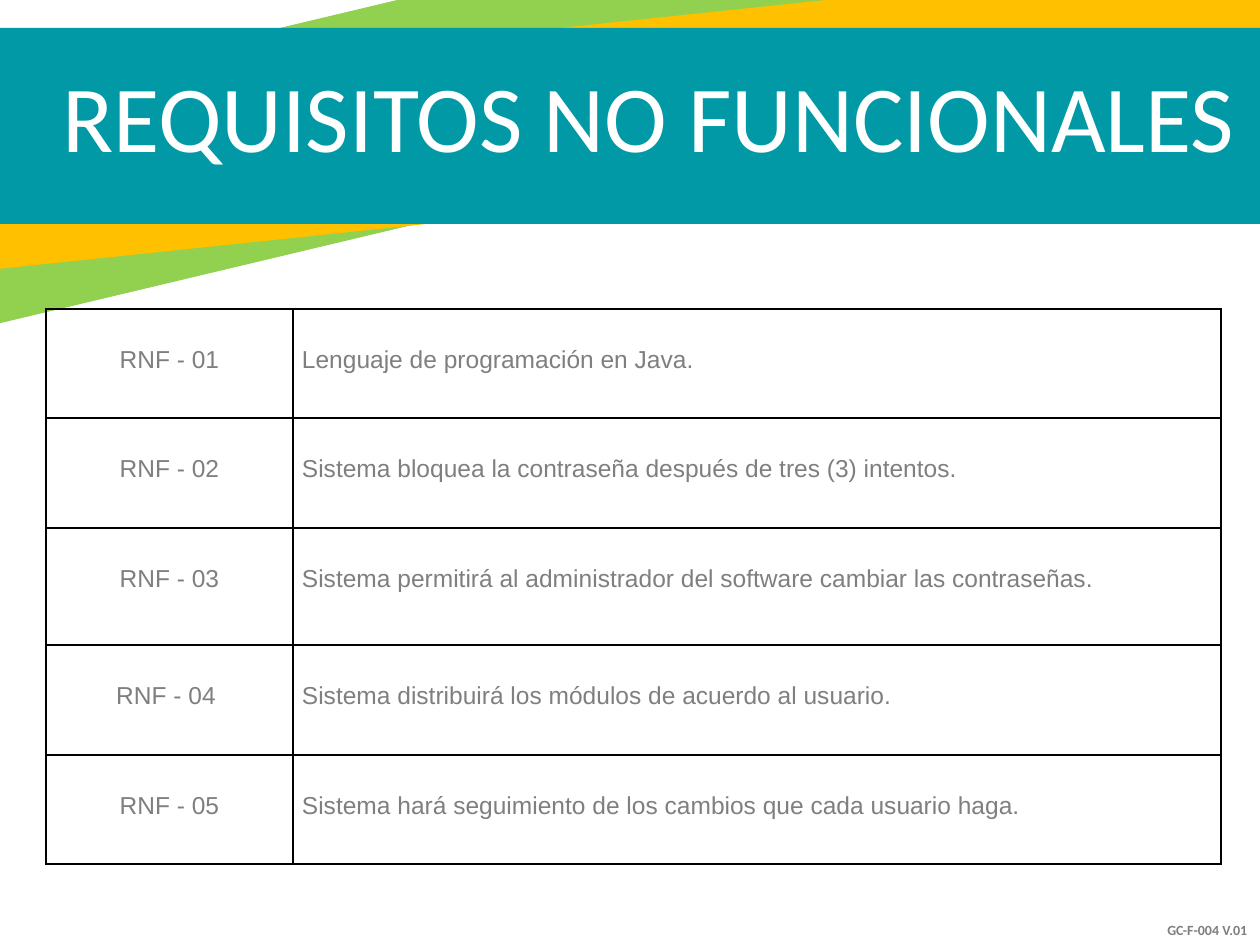
from lxml import etree
from pptx import Presentation
from pptx.dml.color import RGBColor
from pptx.enum.shapes import MSO_SHAPE
from pptx.enum.text import MSO_ANCHOR, PP_ALIGN
from pptx.oxml.ns import qn
from pptx.util import Emu, Pt

PX = 914400 // 126
GREEN = RGBColor(0x92, 0xD0, 0x50)
AMBER = RGBColor(0xFF, 0xC0, 0x00)
TEAL = RGBColor(0x00, 0x99, 0xA5)
GRAY = RGBColor(0x7F, 0x7F, 0x7F)
WHITE = RGBColor(0xFF, 0xFF, 0xFF)
BORDER = "000000"

BANDS = [
    ((-316, -23, 1646, 222), 346.6, GREEN),
    ((-142, -43, 1469, 222), 346.6, GREEN),
    ((-139, 25, 1465, 181), 354, AMBER),
    ((-134, 28, 1465, 196), 0, TEAL),
]
REQUIREMENTS = [
    ("RNF - 01", "Lenguaje de programación en Java."),
    ("RNF - 02", "Sistema bloquea la contraseña después de tres (3) intentos."),
    ("RNF - 03", "Sistema permitirá al administrador del software cambiar las contraseñas."),
    ("RNF - 04 ", "Sistema distribuirá los módulos de acuerdo al usuario."),
    ("RNF - 05", "Sistema hará seguimiento de los cambios que cada usuario haga."),
]
COLUMN_WIDTHS = [247, 928]
ROW_HEIGHTS = [109, 110, 117, 110, 109]
CELL_MARGIN = 9
CELL_TOP = 37


def px(n):
    return Emu(n * PX)


def write(tf, text, size=14, font="Arial", color=GRAY, bold=False, align=PP_ALIGN.LEFT):
    p = tf.paragraphs[0]
    p.alignment = align
    r = p.add_run()
    r.text = text
    r.font.size = Pt(size)
    r.font.name = font
    r.font.color.rgb = color
    r.font.bold = bold


def add_band(s, box, rotation, color):
    sp = s.shapes.add_shape(MSO_SHAPE.RECTANGLE, *map(px, box))
    sp.rotation = rotation
    sp.shadow.inherit = False
    sp.fill.solid()
    sp.fill.fore_color.rgb = color
    sp.line.fill.background()


def add_label(s, box, text, anchor, **style):
    tf = s.shapes.add_textbox(*map(px, box)).text_frame
    tf.word_wrap = True
    tf.vertical_anchor = anchor
    write(tf, text, **style)


def add_borders(cell):
    tc_pr = cell._tc.get_or_add_tcPr()
    for i, side in enumerate(("lnL", "lnR", "lnT", "lnB")):
        ln = etree.Element(qn(f"a:{side}"), w=str(Pt(1)))
        fill = etree.SubElement(ln, qn("a:solidFill"))
        etree.SubElement(fill, qn("a:srgbClr"), val=BORDER)
        tc_pr.insert(i, ln)


def add_requirements(s, left, top):
    size = px(sum(COLUMN_WIDTHS)), px(sum(ROW_HEIGHTS))
    table = s.shapes.add_table(
        len(ROW_HEIGHTS), len(COLUMN_WIDTHS), px(left), px(top), *size
    ).table
    table.first_row = table.horz_banding = False
    for column, width in zip(table.columns, COLUMN_WIDTHS):
        column.width = px(width)
    for row, height, texts in zip(table.rows, ROW_HEIGHTS, REQUIREMENTS):
        row.height = px(height)
        for cell, text, align in zip(row.cells, texts, (PP_ALIGN.CENTER, PP_ALIGN.LEFT)):
            cell.margin_left = cell.margin_right = cell.margin_bottom = px(CELL_MARGIN)
            cell.margin_top = px(CELL_TOP)
            cell.fill.background()
            add_borders(cell)
            write(cell.text_frame, text, align=align)


def main():
    prs = Presentation()
    prs.slide_width, prs.slide_height = px(1260), px(945)
    s = prs.slides.add_slide(prs.slide_layouts[6])
    add_label(s, (1055, 873, 205, 72), "GC-F-004 V.01", MSO_ANCHOR.BOTTOM,
              size=8, font="Calibri", bold=True, align=PP_ALIGN.RIGHT)
    for box, rotation, color in BANDS:
        add_band(s, box, rotation, color)
    add_label(s, (50, 54, 1250, 122), "REQUISITOS NO FUNCIONALES", MSO_ANCHOR.MIDDLE,
              size=54, font="Calibri", color=WHITE)
    add_requirements(s, 46, 309)
    prs.save("out.pptx")


if __name__ == "__main__":
    main()
